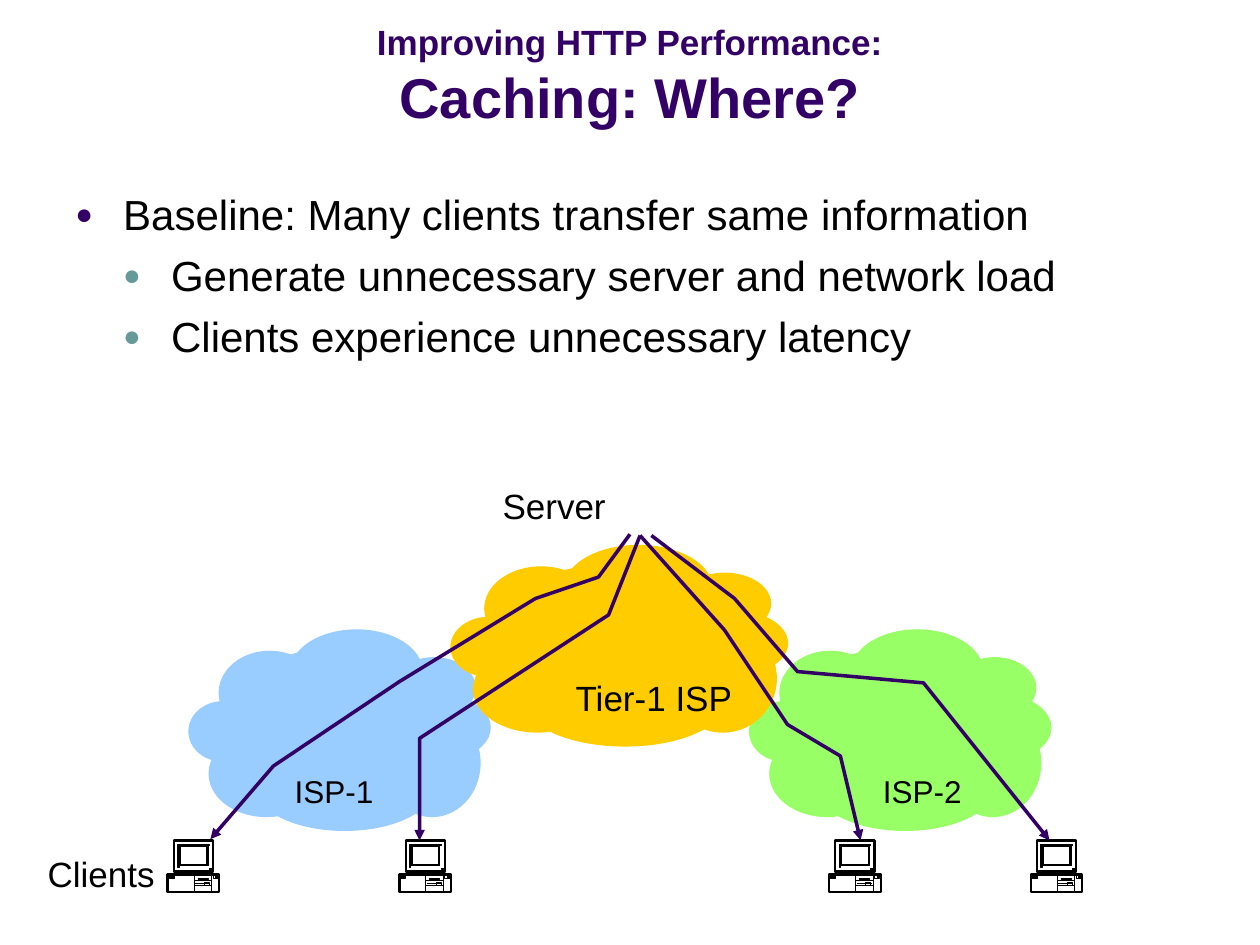
from copy import deepcopy
from dataclasses import dataclass
from lxml.etree import SubElement
from pptx import Presentation
from pptx.dml.color import RGBColor
from pptx.enum.shapes import MSO_CONNECTOR, MSO_SHAPE
from pptx.enum.text import MSO_ANCHOR, MSO_AUTO_SIZE, PP_ALIGN
from pptx.oxml.ns import qn
from pptx.util import Inches, Pt


@dataclass(frozen=True)
class Theme:
    """Colours, font, type sizes and line widths."""
    ink: str = "000000"
    paper: str = "FFFFFF"
    main: str = "330066"
    teal: str = "669999"
    blue: str = "99CCFF"
    green: str = "99FF66"
    gold: str = "FFCC00"
    face: str = "Arial"
    head: int = 32
    body: int = 24
    label: int = 20
    small: int = 18
    thin: float = 0.38
    edge: float = 0.75
    bold: float = 1.25
    route: float = 2


THEME = Theme()

CASE = [(0.09, 0.27), (0, 0.27), (0, 0.41), (0.41, 0.41), (0.41, 0.27),
        (0.32, 0.27), (0.32, 0.25), (0.36, 0.25), (0.36, 0), (0.05, 0),
        (0.05, 0.25), (0.09, 0.25)]
FRAME = [(0.09, 0.2), (0.32, 0.2), (0.32, 0.04), (0.33, 0.04),
         (0.33, 0.03), (0.08, 0.03), (0.08, 0.21), (0.09, 0.21)]
DRIVE = [(0.21, 0.28, 0.14, 0.12), (0.36, 0.28, 0.02, 0.02)]
MARKS = [(0.33, 0.22, 0.02, 0.01), (0.1, 0.05, 0.21, 0.14),
         (0.01, 0.28, 0.04, 0.02), (0.24, 0.3, 0.08, 0.01),
         (0.38, 0.28, 0.02, 0.01), (0.38, 0.3, 0.02, 0)]
SEAMS = [(0.09, 0.27, 0.32, 0.27), (0.09, 0.25, 0.32, 0.25)]
SLOTS = [(0.21, 0.32, 0.35, 0.32), (0.21, 0.36, 0.35, 0.36),
         (0.22, 0.34, 0.34, 0.34)]
BASE = [(0.05, 0.24, 0.36, 0.24), (0.13, 0.25, 0.13, 0.24),
        (0.21, 0.25, 0.21, 0.24)]
LOBES = [(0.81, 0, 1.04, 0.66), (0.24, 0.17, 0.8, 0.66),
         (0, 0.57, 0.54, 0.47), (0.16, 0.8, 0.91, 0.68),
         (0.53, 0.9, 1.41, 0.69), (1.62, 0.22, 0.65, 0.48),
         (1.62, 0.52, 0.77, 0.51), (1.55, 0.63, 0.76, 0.85),
         (0.17, 0.14, 2.12, 1.42)]
SPAN = 2.39
CLOUDS = [(1.5, 5, SPAN, THEME.blue), (5.95, 5, SPAN, THEME.green),
          (3.58, 4.33, 2.67, THEME.gold)]
ROUTES = [
    [(5, 4.24), (4.75, 4.58), (4.25, 4.75), (3.17, 5.41), (2.17, 6.08), (1.67, 6.66)],
    [(5.08, 4.25), (4.83, 4.88), (3.33, 5.86), (3.33, 6.67)],
    [(5.17, 4.25), (5.83, 4.75), (6.33, 5.33), (7.33, 5.42), (8.33, 6.67)],
    [(5.08, 4.25), (5.75, 5), (6.25, 5.75), (6.67, 6), (6.83, 6.67)]]
LABELS = [("Server", (3.89, 3.8, 1.03, 0.43), THEME.label),
          ("Clients", (0.28, 6.72, 1.06, 0.43), THEME.label),
          ("Tier-1 ISP", (4.47, 5.32, 1.45, 0.43), THEME.label),
          ("ISP-1", (2.24, 6.08, 0.84, 0.41), THEME.small),
          ("ISP-2", (6.91, 6.08, 0.84, 0.41), THEME.small)]
POINTS = [(0, THEME.main, "Baseline: Many clients transfer same information"),
          (1, THEME.teal, "Generate unnecessary server and network load"),
          (1, THEME.teal, "Clients experience unnecessary latency")]


def apply(item, **values):
    """Set each named value on an item."""
    for name, value in values.items():
        setattr(item, name, value)


def paint(font, size, tint=THEME.ink, bold=False):
    """Format a font."""
    apply(font, name=THEME.face, size=Pt(size), bold=bold)
    font.color.rgb = RGBColor.from_string(tint)


def trim(shape, fill, tint, width):
    """Set fill and line of a shape and drop its shadow."""
    shape.shadow.inherit = False
    if fill:
        shape.fill.solid()
        shape.fill.fore_color.rgb = RGBColor.from_string(fill)
    else:
        shape.fill.background()
    apply(shape.line, width=Pt(width))
    shape.line.color.rgb = RGBColor.from_string(tint)


def corners(x, y, w, h):
    """Give the corner points of a box."""
    return [(x, y), (x + w, y), (x + w, y + h), (x, y + h)]


def outline(shapes, x, y, paths, close=True):
    """Build one freeform from point lists placed at x, y."""
    first, *rest = [[(Inches(x + a), Inches(y + b)) for a, b in path] for path in paths]
    pen = shapes.build_freeform(*first[0])
    pen.add_line_segments(first[1:], close=close)
    for path in rest:
        pen.move_to(*path[0])
        pen.add_line_segments(path[1:], close=close)
    return pen.convert_to_shape()


def strokes(shapes, x, y, lines, width):
    """Draw straight lines placed at x, y."""
    for a, b, c, d in lines:
        line = shapes.add_connector(MSO_CONNECTOR.STRAIGHT, Inches(x + a),
                                    Inches(y + b), Inches(x + c), Inches(y + d))
        line.line.width = Pt(width)
        line.line.color.rgb = RGBColor.from_string(THEME.ink)
        SubElement(line._element.spPr, qn("a:effectLst"))


def client(slide, x, y):
    """Draw a client computer with its top left at x, y."""
    shapes = slide.shapes.add_group_shape().shapes
    trim(outline(shapes, x, y, [CASE]), THEME.paper, THEME.ink, THEME.bold)
    strokes(shapes, x, y, SEAMS, THEME.bold)
    drive = outline(shapes, x, y, [corners(*box) for box in DRIVE])
    trim(drive, THEME.paper, THEME.ink, THEME.thin)
    strokes(shapes, x, y, SLOTS, THEME.thin)
    knob = shapes.add_shape(MSO_SHAPE.RECTANGLE, Inches(x + 0.29), Inches(y + 0.33),
                            Inches(0.04), Inches(0.03))
    trim(knob, None, THEME.ink, THEME.thin)
    screen = outline(shapes, x, y, [FRAME] + [corners(*box) for box in MARKS])
    trim(screen, THEME.ink, THEME.ink, THEME.thin)
    strokes(shapes, x, y, BASE, THEME.thin)


def cloud(slide, x, y, width, tint):
    """Draw a cloud of ellipses stretched to a width."""
    shapes = slide.shapes.add_group_shape().shapes
    ratio = width / SPAN
    for a, b, w, h in LOBES:
        lobe = shapes.add_shape(MSO_SHAPE.OVAL, Inches(x + a * ratio), Inches(y + b),
                                Inches(w * ratio), Inches(h))
        trim(lobe, tint, tint, THEME.edge)


def route(slide, path):
    """Draw a bent arrow from server to client."""
    shape = outline(slide.shapes, 0, 0, [path], close=False)
    trim(shape, None, THEME.main, THEME.route)
    SubElement(shape._element.spPr.find(qn("a:ln")), qn("a:tailEnd"), type="triangle")


def label(slide, text, box, size):
    """Place a one-line label."""
    frame = slide.shapes.add_textbox(*map(Inches, box)).text_frame
    apply(frame, word_wrap=False, auto_size=MSO_AUTO_SIZE.SHAPE_TO_FIT_TEXT)
    run = frame.paragraphs[0].add_run()
    run.text = text
    paint(run.font, size)


def heading(slide, box):
    """Place the two-line title."""
    title = slide.shapes.title
    apply(title, **dict(zip(("left", "top", "width", "height"), map(Inches, box))))
    frame = title.text_frame
    apply(frame, vertical_anchor=MSO_ANCHOR.BOTTOM, auto_size=MSO_AUTO_SIZE.NONE)
    para = frame.paragraphs[0]
    para.alignment = PP_ALIGN.CENTER
    top = para.add_run()
    top.text = "Improving HTTP Performance:"
    paint(top.font, THEME.label, THEME.main, True)
    para.add_line_break()
    para._p.find(qn("a:br")).append(deepcopy(top._r.find(qn("a:rPr"))))
    main = para.add_run()
    main.text = "Caching: Where?"
    paint(main.font, THEME.head, THEME.main, True)


def bullets(slide, box):
    """Place the bulleted points."""
    frame = slide.shapes.add_textbox(*map(Inches, box)).text_frame
    frame.word_wrap = True
    for i, (level, tint, text) in enumerate(POINTS):
        para = frame.add_paragraph() if i else frame.paragraphs[0]
        apply(para, level=level, space_before=Pt(6 if i else 0))
        props = para._p.get_or_add_pPr()
        props.set("marL", str(Inches(0.38 * (level + 1))))
        props.set("indent", str(Inches(-0.38)))
        SubElement(SubElement(props, qn("a:buClr")), qn("a:srgbClr"), val=tint)
        SubElement(props, qn("a:buSzPct"), val="70000")
        SubElement(props, qn("a:buFont"), typeface=THEME.face)
        SubElement(props, qn("a:buChar"), char="●")
        run = para.add_run()
        run.text = text
        paint(run.font, THEME.body)


def main():
    """Build and save the slide."""
    deck = Presentation()
    apply(deck, slide_width=Inches(10), slide_height=Inches(7.5))
    slide = deck.slides.add_slide(deck.slide_layouts[5])
    heading(slide, (0, 0.13, 10, 0.95))
    bullets(slide, (0.5, 1.45, 9.33, 5.26))
    for x in (6.58, 8.18, 1.33, 3.17):
        client(slide, x, 6.67)
    for item in CLOUDS:
        cloud(slide, *item)
    for path in ROUTES:
        route(slide, path)
    for item in LABELS:
        label(slide, *item)
    deck.save("out.pptx")


if __name__ == "__main__":
    main()
